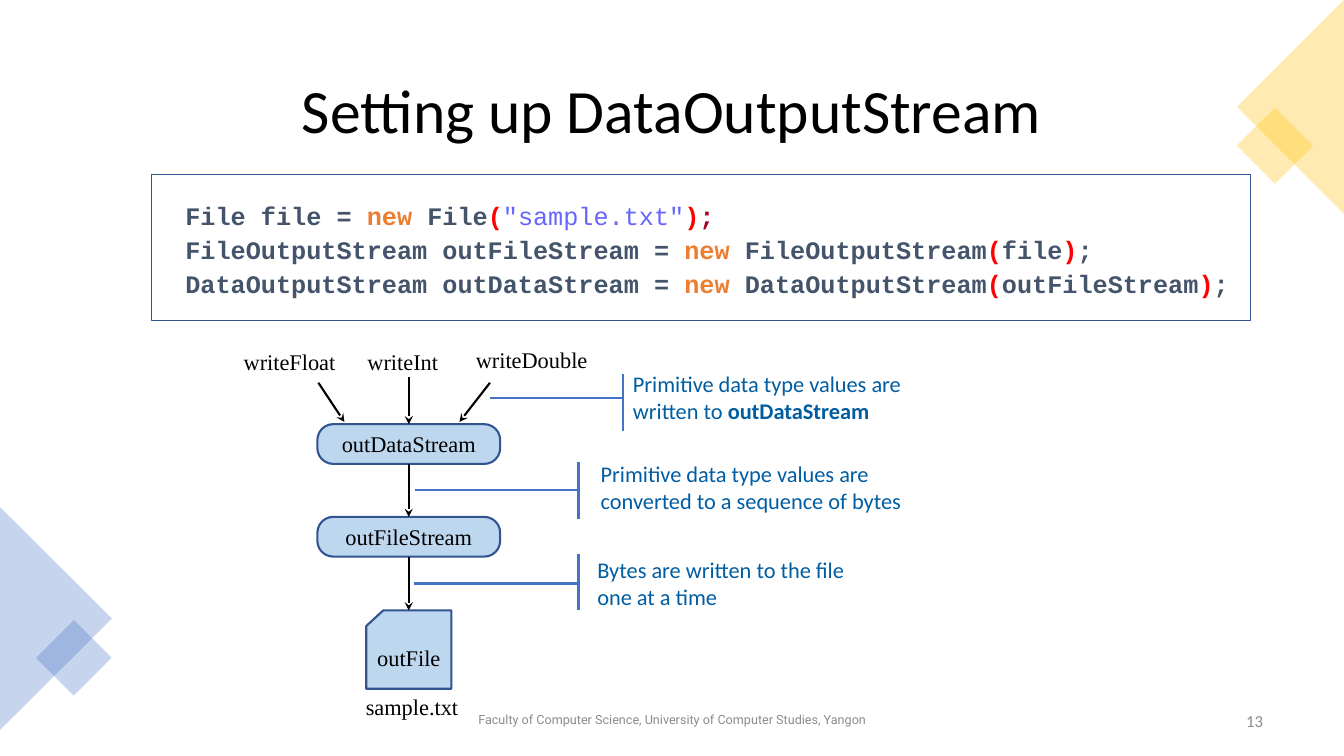
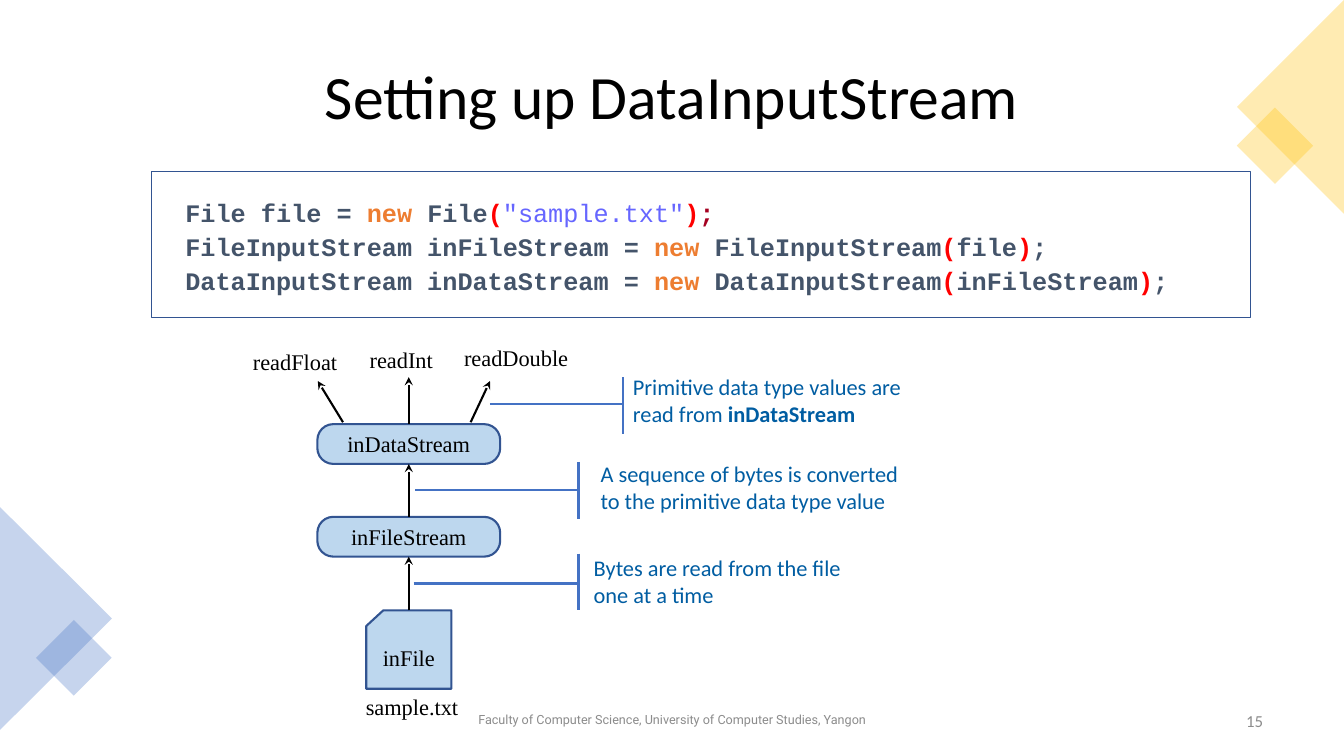
from lxml import etree
from pptx import Presentation
from pptx import util as u
from pptx.dml.color import RGBColor
from pptx.enum import shapes, text
from pptx.oxml.ns import qn

COLORS = {
    "black": "000000", "grey": "8C8C8C", "slate": "44546A", "orange": "ED7D31",
    "red": "FF0000", "violet": "6666FF", "crimson": "A50021", "note": "005DA2",
    "blue": "4472C4", "navy": "325491", "pale": "BDD7EE", "gold": "FFC000",
}
BODY, CODE, LABEL, FOOTER = "Calibri", "Courier New", "Times New Roman", "Roboto"
SHAPE = shapes.MSO_SHAPE
ALIGN = text.PP_ALIGN
MIDDLE = text.MSO_ANCHOR.MIDDLE
TOP, BOTTOM = 0, 2
AXIS = 292


def rgb(name):
    return RGBColor.from_string(COLORS[name])


def write(tf, paragraphs, size=16, font=BODY, color="black", bold=False,
          align=ALIGN.LEFT, anchor=text.MSO_ANCHOR.TOP, wrap=True, leading=None, gap=0):
    tf.word_wrap = wrap
    tf.vertical_anchor = anchor
    if isinstance(paragraphs, str):
        paragraphs = [[(paragraphs, {})]]
    for i, runs in enumerate(paragraphs):
        p = tf.paragraphs[0] if i == 0 else tf.add_paragraph()
        p.alignment = align
        if leading:
            p.line_spacing = leading
        if i and gap:
            p.space_before = u.Pt(gap)
        for content, style in runs:
            r = p.add_run()
            r.text = content
            r.font.name = font
            r.font.size = u.Pt(size)
            r.font.bold = style.get("bold", bold)
            r.font.color.rgb = rgb(style.get("color", color))


class Deck:
    """Holds the shared style and the slide being drawn."""

    def __init__(self):
        self.prs = Presentation()
        self.prs.slide_width, self.prs.slide_height = u.Pt(960), u.Pt(540)

    def new_slide(self, title, title_height, number):
        self.s = self.prs.slides.add_slide(self.prs.slide_layouts[6])
        for kind, box, turn, color in (
            (SHAPE.ISOSCELES_TRIANGLE, (-39.6, 401.8, 159.2, 80), 90, "blue"),
            (SHAPE.RECTANGLE, (33.6, 450.8, 38.2, 38.2), 45, "blue"),
            (SHAPE.RECTANGLE, (891.4, 84.8, 38.6, 38.6), 45, "gold"),
            (SHAPE.ISOSCELES_TRIANGLE, (845.5, 38.2, 152.6, 76.3), 270, "gold"),
        ):
            self.shape(kind, *box, fill=color, alpha=30, turn=turn)
        self.text("Faculty of Computer Science, University of Computer Studies, Yangon",
                  318, 500.4, 324, 28.8, size=9, font=FOOTER, color="grey",
                  align=ALIGN.CENTER, anchor=MIDDLE, leading=0.9)
        self.text(str(number), 693.4, 500.4, 216, 28.8, size=12, color="grey",
                  align=ALIGN.RIGHT, anchor=MIDDLE)
        self.text(title, 66, 28.8, 828, title_height, size=44,
                  align=ALIGN.CENTER, anchor=MIDDLE, leading=0.9)

    def text(self, content, x, y, w, h, **style):
        sp = self.s.shapes.add_textbox(u.Pt(x), u.Pt(y), u.Pt(w), u.Pt(h))
        write(sp.text_frame, content, **style)

    def shape(self, kind, x, y, w, h, fill=None, alpha=None, line=None, width=1, turn=0):
        sp = self.s.shapes.add_shape(kind, u.Pt(x), u.Pt(y), u.Pt(w), u.Pt(h))
        sp.shadow.inherit = False
        sp.rotation = turn
        if fill:
            sp.fill.solid()
            sp.fill.fore_color.rgb = rgb(fill)
        else:
            sp.fill.background()
        if alpha:
            clr = sp.element.spPr.find(qn("a:solidFill")).find(qn("a:srgbClr"))
            etree.SubElement(clr, qn("a:alpha")).set("val", str(alpha * 1000))
        if line:
            sp.line.color.rgb = rgb(line)
            sp.line.width = u.Pt(width)
        else:
            sp.line.fill.background()
        return sp

    def node(self, kind, label, y, w, h):
        sp = self.shape(kind, AXIS - w / 2, y, w, h, fill="pale", line="navy", width=1.5)
        if kind == SHAPE.ROUNDED_RECTANGLE:
            sp.adjustments[0] = 0.4
        write(sp.text_frame, label, font=LABEL, align=ALIGN.CENTER, anchor=MIDDLE, wrap=False)
        return sp

    def line(self, start, end, color="blue", width=1.75, arrow=False):
        c = self.s.shapes.add_connector(shapes.MSO_CONNECTOR.STRAIGHT,
                                        *(u.Pt(v) for v in (*start, *end)))
        c.line.color.rgb = rgb(color)
        c.line.width = u.Pt(width)
        pr = c.element.spPr
        if arrow:
            etree.SubElement(pr.find(qn("a:ln")), qn("a:tailEnd")).set("type", "stealth")
        etree.SubElement(pr, qn("a:effectLst"))
        return c

    def arrow(self, start, end, source=None, target=None):
        c = self.line(start, end, color="black", width=1.5, arrow=True)
        if source:
            c.begin_connect(*source)
        if target:
            c.end_connect(*target)

    def code(self, y, lines):
        self.shape(SHAPE.RECTANGLE, 108.4, y, 784.8, 104.4, line="navy")
        self.text(lines, 125.3, y + 17.4, 768, 75.6, size=18, font=CODE, color="slate",
                  bold=True, leading=0.9, gap=4.8)

    def note(self, runs, x, y, w, bracket_x, bracket_y, leader_x, leader_y):
        self.text([runs], x, y, w, 46, color="note")
        self.line((leader_x, leader_y), (bracket_x, leader_y))
        self.line((bracket_x, bracket_y), (bracket_x, bracket_y + 40.6))


def statement(cls, var, arg, arg_style=None, end="slate"):
    return [(f"{cls} {var} = ", {}), ("new", {"color": "orange"}), (f" {cls}", {}),
            ("(", {"color": "red"}), (arg, arg_style or {}),
            (")", {"color": "red"}), (";", {"color": end})]


def stream_slide(deck, way, verb, number, title_height, code_y, labels, side_arrows,
                 notes, first_note_y, first_bracket_y, first_leader_y, last_note):
    low = way.lower()[:-3]
    data, file = f"{low}DataStream", f"{low}FileStream"
    deck.new_slide(f"Setting up Data{way}Stream", title_height, number)
    deck.code(code_y, [
        statement("File", "file", '"sample.txt"', {"color": "violet", "bold": False}, "crimson"),
        statement(f"File{way}Stream", file, "file"),
        statement(f"Data{way}Stream", data, file),
    ])
    for kind, (x, y) in zip(("Float", "Int", "Double"), labels):
        deck.text(verb + kind, x, y, 100, 26.6, font=LABEL)

    top = deck.node(SHAPE.ROUNDED_RECTANGLE, data, 303, 130.6, 28.4)
    mid = deck.node(SHAPE.ROUNDED_RECTANGLE, file, 369.2, 130.6, 28.4)
    card = deck.node(SHAPE.FLOWCHART_CARD, f"{low}File", 436, 60.8, 56)
    deck.text("sample.txt", 254.2, 491.8, 99.4, 26.6, font=LABEL)

    for start, end in side_arrows:
        deck.arrow(start, end)
    outer, inner = (AXIS, 269.4), (AXIS, 303)
    if way == "Output":
        deck.arrow(outer, inner, target=(top, TOP))
    else:
        deck.arrow(inner, outer, source=(top, TOP))
    for upper, lower in ((top, mid), (mid, card)):
        ends = [(upper, BOTTOM), (lower, TOP)]
        if way == "Input":
            ends.reverse()
        deck.arrow(outer, inner, *ends)

    first, second, third = notes
    deck.note([(first, {}), (data, {"bold": True})], 445, first_note_y, 212.4,
              445, first_bracket_y, 350, first_leader_y)
    deck.note([(second, {})], 422, 325.4, 235.4, 413.3, 330, 296.6, 350.2)
    deck.note([(third, {})], *last_note, 192.2, 413.3, 395.4, 295.4, 416.8)


def main():
    deck = Deck()
    stream_slide(
        deck, "Output", "write", 13, 104.4, 124.6,
        labels=[(167, 244.8), (255.4, 244.8), (332.8, 244)],
        side_arrows=[((227.4, 273.4), (246, 301.4)), ((350, 273.4), (328.2, 301.4))],
        notes=["Primitive data type values are written to ",
               "Primitive data type values are converted to a sequence of bytes",
               "Bytes are written to the file one at a time"],
        first_note_y=260.6, first_bracket_y=267, first_leader_y=284.4,
        last_note=(419.6, 393.6))
    stream_slide(
        deck, "Input", "read", 15, 85, 122.4,
        labels=[(173.6, 244.8), (257, 243.4), (324.4, 242.6)],
        side_arrows=[((245, 301.6), (227, 272.2)), ((336.2, 301.6), (350, 272.2))],
        notes=["Primitive data type values are read from ",
               "A sequence of bytes is converted to the primitive data type value",
               "Bytes are read from the file one at a time"],
        first_note_y=263.2, first_bracket_y=269.4, first_leader_y=288.6,
        last_note=(417, 392.4))
    deck.prs.save("out.pptx")


if __name__ == "__main__":
    main()
